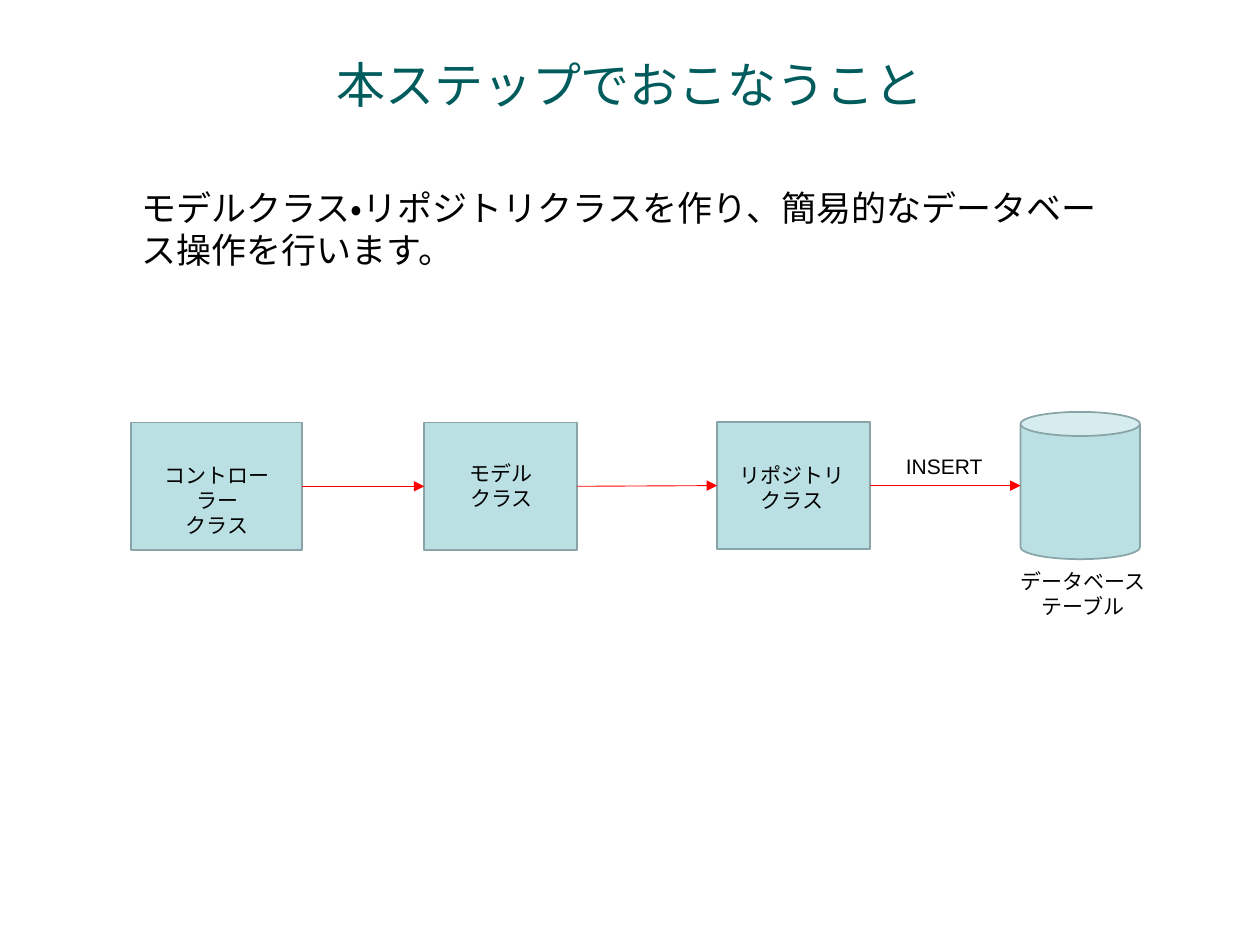
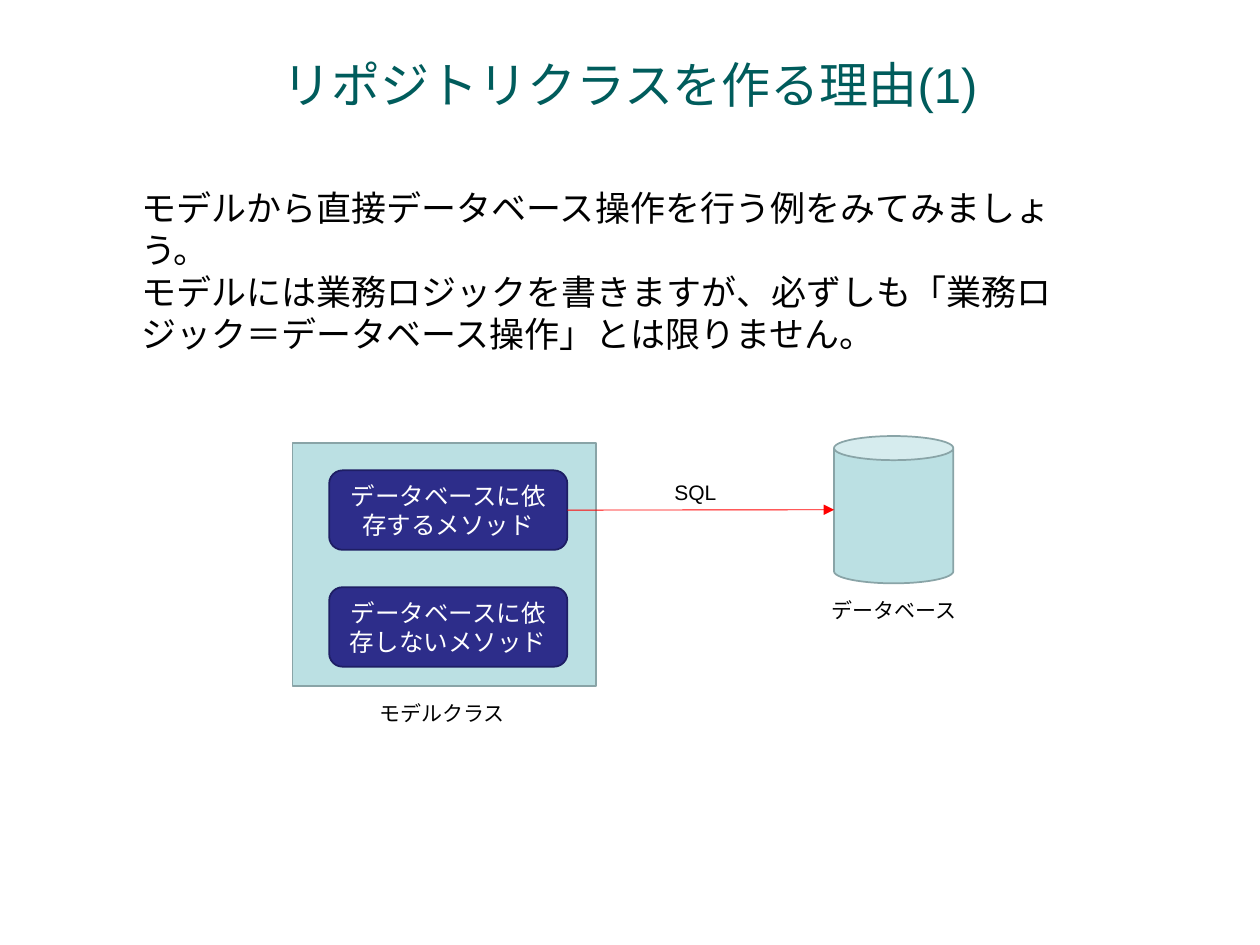
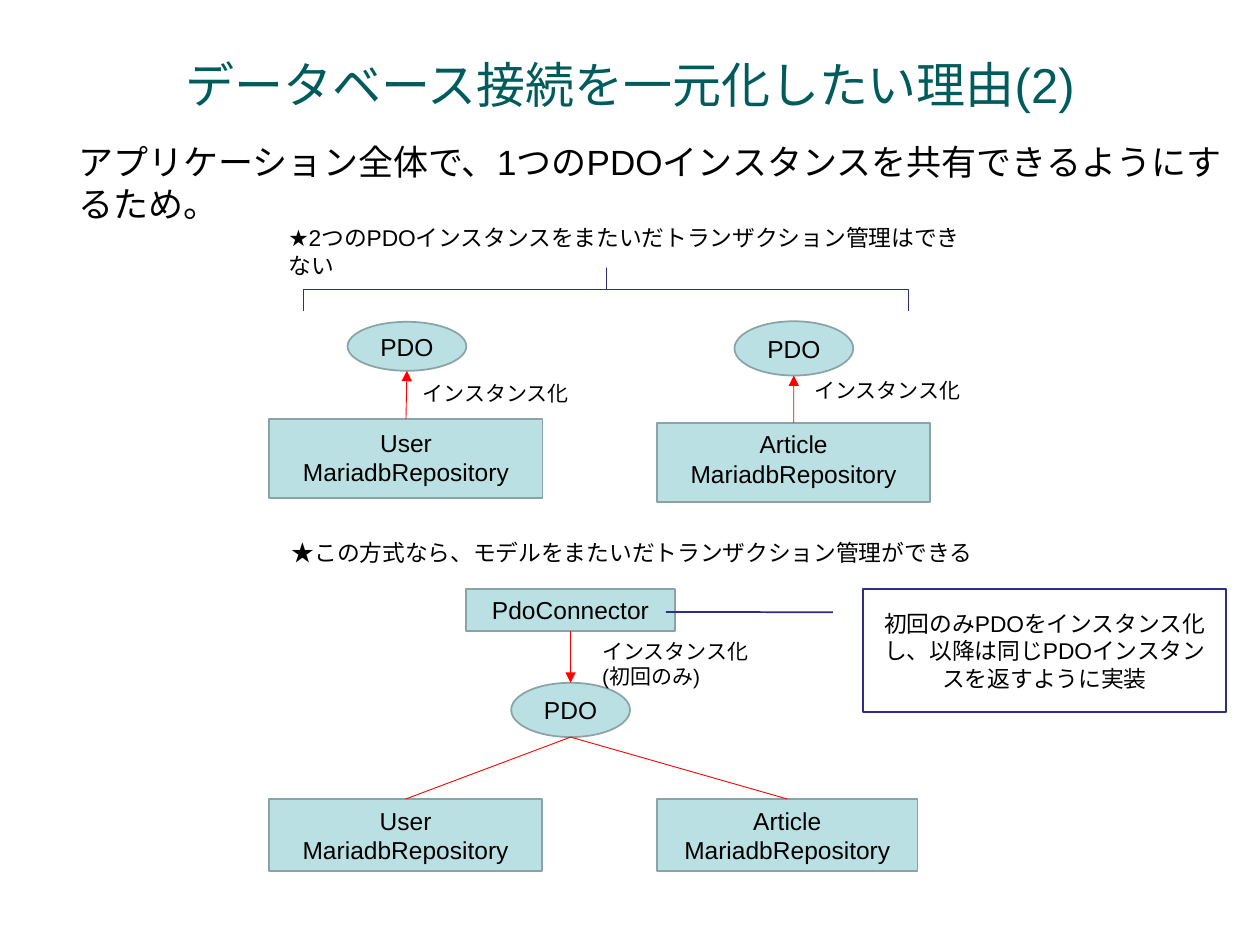
from dataclasses import dataclass

from lxml import etree
from pptx import Presentation
from pptx.dml.color import RGBColor
from pptx.enum.lang import MSO_LANGUAGE_ID
from pptx.enum.shapes import MSO_CONNECTOR, MSO_SHAPE
from pptx.enum.text import MSO_ANCHOR, PP_ALIGN
from pptx.oxml.ns import qn
from pptx.shapes.autoshape import Shape
from pptx.slide import Slide
from pptx.util import Pt

RECT, ROUND, OVAL, CAN = (MSO_SHAPE.RECTANGLE, MSO_SHAPE.ROUNDED_RECTANGLE,
                          MSO_SHAPE.OVAL, MSO_SHAPE.CAN)
BRACE, CALLOUT = MSO_SHAPE.LEFT_BRACE, MSO_SHAPE.LINE_CALLOUT_1
STRAIGHT = MSO_CONNECTOR.STRAIGHT
LEFT_ALIGN, CENTER = PP_ALIGN.LEFT, PP_ALIGN.CENTER
ANCHOR_TOP, ANCHOR_MIDDLE = MSO_ANCHOR.TOP, MSO_ANCHOR.MIDDLE
JAPANESE = MSO_LANGUAGE_ID.JAPANESE
TOP, LEFT, BOTTOM, RIGHT = range(4)

COLORS = {
    "title": "005C5C", "text": "000000", "white": "FFFFFF",
    "pale": "BBE0E3", "pale_edge": "89A4A7",
    "navy": "2D2D8A", "navy_edge": "1E1E64", "arrow": "FF0000",
}
FRAME = {
    "word_wrap": True,
    "margin_left": Pt(7.2), "margin_right": Pt(7.2),
    "margin_top": Pt(3.6), "margin_bottom": Pt(3.6),
}
FONT = {"name": "Arial", "language_id": JAPANESE}


@dataclass(frozen=True)
class Look:
    fill: str | None
    line: str
    text: str = "text"
    width: float = 1


PALE = Look("pale", "pale_edge")
NAVY = Look("navy", "navy_edge", "white")
NOTE = Look("white", "navy")
THIN = Look(None, "navy", width=0.5)


@dataclass(frozen=True)
class Node:
    kind: MSO_SHAPE
    x: float
    y: float
    w: float
    h: float
    text: str = ""
    size: float = 14
    look: Look = PALE
    adjustments: tuple[float, ...] = ()
    rotation: float = 0


@dataclass(frozen=True)
class Label:
    text: str
    x: float
    y: float
    w: float
    h: float
    size: float = 12
    align: PP_ALIGN = CENTER
    color: str = "text"
    anchor: MSO_ANCHOR = ANCHOR_TOP


def rgb(name: str) -> RGBColor:
    return RGBColor.from_string(COLORS[name])


def apply(target, values: dict) -> None:
    for name, value in values.items():
        setattr(target, name, value)


def write(shape: Shape, text: str, size: float, color: str,
          align: PP_ALIGN, anchor: MSO_ANCHOR) -> None:
    """Fill the shape with text, keeping punctuation inside the margins."""
    tf = shape.text_frame
    apply(tf, FRAME | {"vertical_anchor": anchor})
    tf.text = text
    for p in tf.paragraphs:
        p.alignment = align
        p._p.get_or_add_pPr().set("hangingPunct", "0")
        for r in p.runs:
            apply(r.font, FONT | {"size": Pt(size)})
            r.font.color.rgb = rgb(color)


def add_label(s: Slide, label: Label) -> None:
    box = s.shapes.add_textbox(Pt(label.x), Pt(label.y), Pt(label.w), Pt(label.h))
    write(box, label.text, label.size, label.color, label.align, label.anchor)


def add_labels(s: Slide, *labels: Label) -> None:
    for label in labels:
        add_label(s, label)


def add_node(s: Slide, node: Node) -> Shape:
    sp = s.shapes.add_shape(node.kind, Pt(node.x), Pt(node.y), Pt(node.w), Pt(node.h))
    sp.shadow.inherit = False
    sp.rotation = node.rotation
    for i, value in enumerate(node.adjustments):
        sp.adjustments[i] = value
    look = node.look
    if look.fill:
        sp.fill.solid()
        sp.fill.fore_color.rgb = rgb(look.fill)
    else:
        sp.fill.background()
    sp.line.color.rgb = rgb(look.line)
    sp.line.width = Pt(look.width)
    if node.text:
        write(sp, node.text, node.size, look.text, CENTER, ANCHOR_MIDDLE)
    return sp


def side_point(sp: Shape, side: int) -> tuple[int, int]:
    mid_x, mid_y = sp.left + sp.width // 2, sp.top + sp.height // 2
    return {
        TOP: (mid_x, sp.top),
        LEFT: (sp.left, mid_y),
        BOTTOM: (mid_x, sp.top + sp.height),
        RIGHT: (sp.left + sp.width, mid_y),
    }[side]


def add_link(s: Slide, start: Shape, start_side: int, end: Shape, end_side: int,
             arrow: bool = True) -> None:
    """Draw a red line between side middles, joined where the side is a rectangle's."""
    c = s.shapes.add_connector(STRAIGHT, *side_point(start, start_side),
                               *side_point(end, end_side))
    if start.auto_shape_type in (RECT, ROUND):
        c.begin_connect(start, start_side)
    if end.auto_shape_type in (RECT, ROUND):
        c.end_connect(end, end_side)
    c.line.color.rgb = rgb("arrow")
    c.line.width = Pt(0.5)
    if arrow:
        etree.SubElement(c.line._get_or_add_ln(), qn("a:tailEnd"), type="triangle")
    etree.SubElement(c._element.spPr, qn("a:effectLst"))


def add_slide(prs: Presentation, title: str, body: Label) -> Slide:
    s = prs.slides.add_slide(prs.slide_layouts[6])
    add_labels(s, Label(title, 54, 18, 612, 60, 28, color="title", anchor=ANCHOR_MIDDLE),
               body)
    return s


def add_database(s: Slide, x: float, y: float) -> Shape:
    return add_node(s, Node(CAN, x, y, 68.2, 84.2, adjustments=(0.202,)))


def build_steps(prs: Presentation) -> None:
    s = add_slide(prs, "本ステップでおこなうこと", Label(
        "モデルクラス・リポジトリクラスを作り、簡易的なデータベース操作を行います。",
        73.5, 103, 572.4, 55.4, 20, LEFT_ALIGN))
    controller, model, repository = (
        add_node(s, Node(RECT, x, y, w, 72.8))
        for x, y, w in ((74.9, 241.5, 97.9), (242.4, 241.5, 87.4), (409.8, 241.1, 87.4)))
    database = add_database(s, 583.2, 235.4)
    chain = (controller, model, repository, database)
    for start, end in zip(chain, chain[1:]):
        add_link(s, start, RIGHT, end, LEFT)
    add_labels(
        s,
        Label("コントローラー\nクラス", 75.8, 260.6, 96.5, 50.4),
        Label("モデル\nクラス", 249.8, 259.4, 73.4, 36),
        Label("リポジトリ\nクラス", 414.7, 260.6, 75.6, 36),
        Label("データベース\nテーブル", 571.2, 321.1, 95, 36),
        Label("INSERT", 508.6, 255.6, 61.9, 21.6),
    )


def build_direct_access(prs: Presentation) -> None:
    s = add_slide(prs, "リポジトリクラスを作る理由(1)", Label(
        "モデルから直接データベース操作を行う例をみてみましょう。\n"
        "モデルには業務ロジックを書きますが、必ずしも「業務ロジック＝データベース操作」とは限りません。",
        73.5, 103, 572.4, 103.7, 20, LEFT_ALIGN))
    add_node(s, Node(RECT, 167.2, 253, 173.5, 139))
    database = add_database(s, 476.6, 249.2)
    dependent, _ = (
        add_node(s, Node(ROUND, 188.1, 268.8 + i * 66.8, 136.1, 45.4, text, look=NAVY,
                         adjustments=(0.167,)))
        for i, text in enumerate(("データベースに依存するメソッド",
                                  "データベースに依存しないメソッド")))
    add_link(s, dependent, RIGHT, database, LEFT)
    add_labels(
        s,
        Label("モデルクラス", 195.8, 396.7, 113.8, 21.6),
        Label("SQL", 348.1, 270.3, 98.6, 21.6),
        Label("データベース", 463.2, 337.7, 95, 21.6),
    )


def add_repository(s: Slide, name: str, x: float, y: float, w: float, h: float,
                   label_y: float) -> Shape:
    sp = add_node(s, Node(RECT, x, y, w, h))
    add_label(s, Label(f"{name}\nMariadbRepository", x + 6, label_y, w - 12, 41, 14))
    return sp


def build_shared_connection(prs: Presentation) -> None:
    s = add_slide(prs, "データベース接続を一元化したい理由(2)", Label(
        "アプリケーション全体で、1つのPDOインスタンスを共有できるようにするため。",
        37.7, 77, 674.6, 55.4, 20, LEFT_ALIGN))

    separate = (
        (add_repository(s, "User", 153.9, 239.4, 156.2, 45.2, 241),
         Node(OVAL, 198.6, 183.9, 67.9, 28, "PDO")),
        (add_repository(s, "Article", 375.6, 241.6, 155.9, 45.2, 241.7),
         Node(OVAL, 419.7, 183.6, 67.9, 31, "PDO")),
    )
    for repository, pdo in separate:
        add_link(s, repository, TOP, add_node(s, pdo), BOTTOM)
    add_node(s, Node(BRACE, 334.1, -7.5, 24.5, 345.6, look=THIN,
                     adjustments=(0, 0.5), rotation=90))

    connector = add_node(s, Node(RECT, 266.4, 336.5, 119.2, 24.2, "PdoConnector"))
    shared = add_node(s, Node(OVAL, 292.1, 390.2, 67.9, 31, "PDO"))
    add_link(s, connector, BOTTOM, shared, TOP)
    for name, x, w in (("User", 153.7, 156.2), ("Article", 375.6, 148.7)):
        repository = add_repository(s, name, x, 456.6, w, 41, 456.8)
        add_link(s, repository, TOP, shared, BOTTOM, arrow=False)
    add_node(s, Node(CALLOUT, 493.2, 336.7, 207.2, 70.3,
                     "初回のみPDOをインスタンス化し、以降は同じPDOインスタンスを返すように実装",
                     13, NOTE, (0.188, -0.083, 0.185, -0.544)))
    add_labels(
        s,
        Label("インスタンス化", 234.4, 213.8, 113, 21.6, align=LEFT_ALIGN),
        Label("インスタンス化", 458.3, 212.4, 113, 21.6, align=LEFT_ALIGN),
        Label("インスタンス化\n(初回のみ)", 337, 361.4, 113, 36, align=LEFT_ALIGN),
        Label("★2つのPDOインスタンスをまたいだトランザクション管理はできない",
              157.7, 124.6, 404.6, 38.9, 13, LEFT_ALIGN),
        Label("★この方式なら、モデルをまたいだトランザクション管理ができる",
              159.6, 304.3, 404.6, 23, 13, LEFT_ALIGN),
    )


def main() -> None:
    prs = Presentation()
    prs.slide_width, prs.slide_height = Pt(720), Pt(540)
    build_steps(prs)
    build_direct_access(prs)
    build_shared_connection(prs)
    prs.save("out.pptx")


if __name__ == "__main__":
    main()
